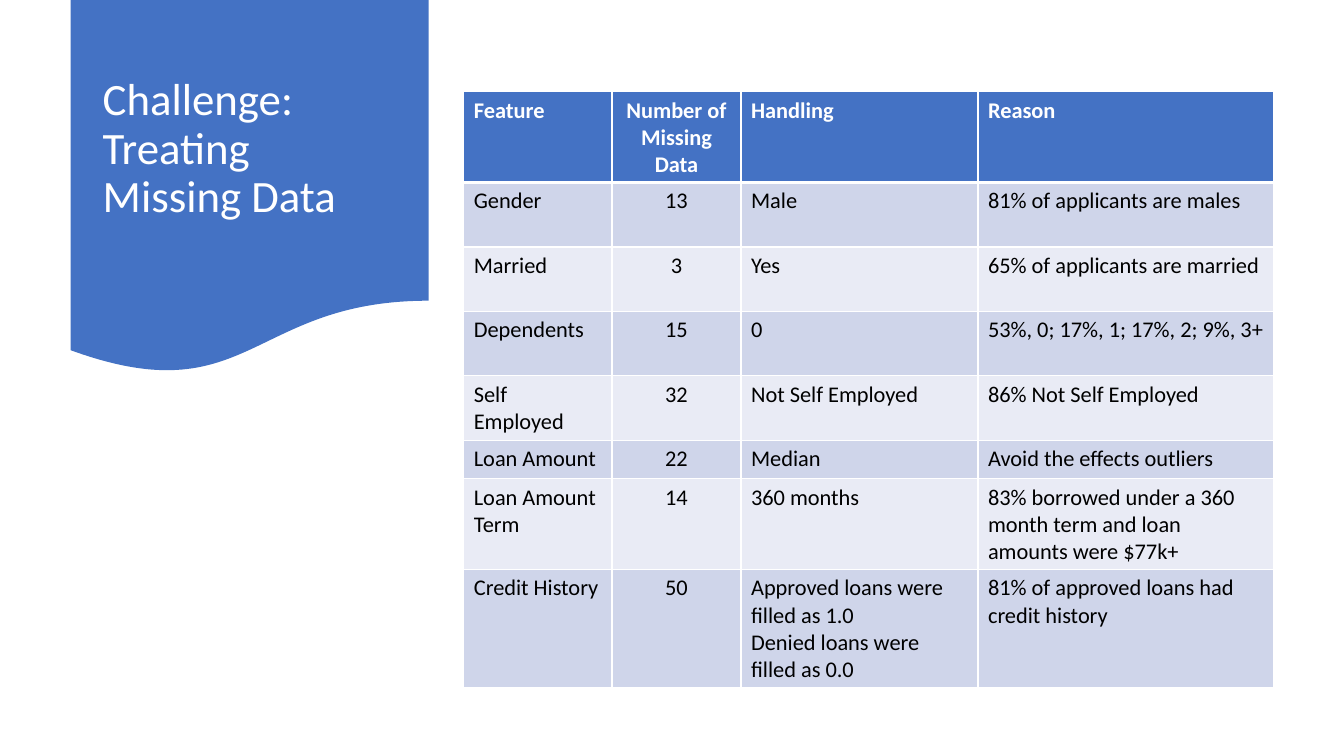
import lxml.etree
import pptx
import pptx.dml.color
import pptx.enum.shapes
import pptx.enum.text
import pptx.oxml.ns
import pptx.util

Inches = pptx.util.Inches
RGBColor = pptx.dml.color.RGBColor
PP_ALIGN = pptx.enum.text.PP_ALIGN

BLUE = RGBColor(0x44, 0x72, 0xC4)
BAND_DARK = RGBColor(0xCF, 0xD5, 0xEA)
BAND_LIGHT = RGBColor(0xE9, 0xEB, 0xF5)
WHITE = RGBColor(0xFF, 0xFF, 0xFF)
BLACK = RGBColor(0x00, 0x00, 0x00)

COLUMN_WIDTHS = [1.47, 1.28, 2.35, 2.93]
COUNT_COLUMN = 1
ROW_HEIGHTS = [0.9] + [0.64] * 4 + [0.38, 0.9, 1.17]
TREATMENTS = [
    ("Feature", "Number of Missing Data", "Handling", "Reason"),
    ("Gender", "13", "Male", "81% of applicants are males"),
    ("Married", "3", "Yes", "65% of applicants are married"),
    ("Dependents", "15", "0", "53%, 0; 17%, 1; 17%, 2; 9%, 3+"),
    ("Self Employed", "32", "Not Self Employed", "86% Not Self Employed"),
    ("Loan Amount", "22", "Median", "Avoid the effects outliers"),
    ("Loan Amount Term", "14", "360 months",
     "83% borrowed under a 360 month term and loan amounts were $77k+"),
    ("Credit History", "50",
     "Approved loans were filled as 1.0\nDenied loans were filled as 0.0",
     "81% of approved loans had credit history"),
]


class SlideBuilder:
    font = "Calibri"

    def __init__(self, slide):
        self.slide = slide

    def set_text(self, frame, text, size, color, bold=False, align=PP_ALIGN.LEFT, spacing=1.0):
        frame.text = text
        frame.word_wrap = True
        for paragraph in frame.paragraphs:
            paragraph.alignment = align
            paragraph.line_spacing = spacing
            for run in paragraph.runs:
                run.font.name = self.font
                run.font.size = pptx.util.Pt(size)
                run.font.bold = bold
                run.font.color.rgb = color

    def banner(self, left, top, width, height):
        wave = self.slide.shapes.add_shape(
            pptx.enum.shapes.MSO_SHAPE.FLOWCHART_DOCUMENT,
            Inches(left), Inches(top), Inches(width), Inches(height))
        wave.shadow.inherit = False
        wave.fill.solid()
        wave.fill.fore_color.rgb = BLUE
        wave.line.fill.background()

    def title(self, text, left, top, width, height):
        heading = self.slide.shapes.add_textbox(
            Inches(left), Inches(top), Inches(width), Inches(height))
        heading.text_frame.vertical_anchor = pptx.enum.text.MSO_ANCHOR.MIDDLE
        self.set_text(heading.text_frame, text, 32, WHITE, spacing=0.9)

    def border(self, cell, side, points):
        edge = lxml.etree.SubElement(
            cell._tc.get_or_add_tcPr(), pptx.oxml.ns.qn(f"a:ln{side}"),
            w=str(pptx.util.Pt(points)))
        solid = lxml.etree.SubElement(edge, pptx.oxml.ns.qn("a:solidFill"))
        lxml.etree.SubElement(solid, pptx.oxml.ns.qn("a:srgbClr"), val=str(WHITE))

    def table(self, rows, left, top, widths, heights):
        grid = self.slide.shapes.add_table(
            len(rows), len(widths), Inches(left), Inches(top),
            Inches(sum(widths)), Inches(sum(heights))).table
        for column, width in zip(grid.columns, widths):
            column.width = Inches(width)
        for r, (row, height) in enumerate(zip(rows, heights)):
            grid.rows[r].height = Inches(height)
            header = r == 0
            fill = BLUE if header else (BAND_DARK if r % 2 else BAND_LIGHT)
            for c, text in enumerate(row):
                cell = grid.cell(r, c)
                # Borders precede the fill in the cell properties
                for side, points in (("L", 1), ("R", 1), ("T", 3 if r == 1 else 1),
                                     ("B", 3 if header else 1)):
                    self.border(cell, side, points)
                cell.fill.solid()
                cell.fill.fore_color.rgb = fill
                align = PP_ALIGN.CENTER if c == COUNT_COLUMN else PP_ALIGN.LEFT
                self.set_text(cell.text_frame, text, 16, WHITE if header else BLACK,
                              bold=header, align=align)


presentation = pptx.Presentation()
presentation.slide_width = Inches(13.33)
presentation.slide_height = Inches(7.5)
builder = SlideBuilder(presentation.slides.add_slide(presentation.slide_layouts[6]))

# Title on its banner
builder.banner(0.7, 0, 3.55, 3.72)
builder.title("Challenge: Treating Missing Data", 0.92, 0.19, 3.11, 2.59)

# Treatment of each feature with missing data
builder.table(TREATMENTS, 4.6, 0.91, COLUMN_WIDTHS, ROW_HEIGHTS)

presentation.save("out.pptx")
